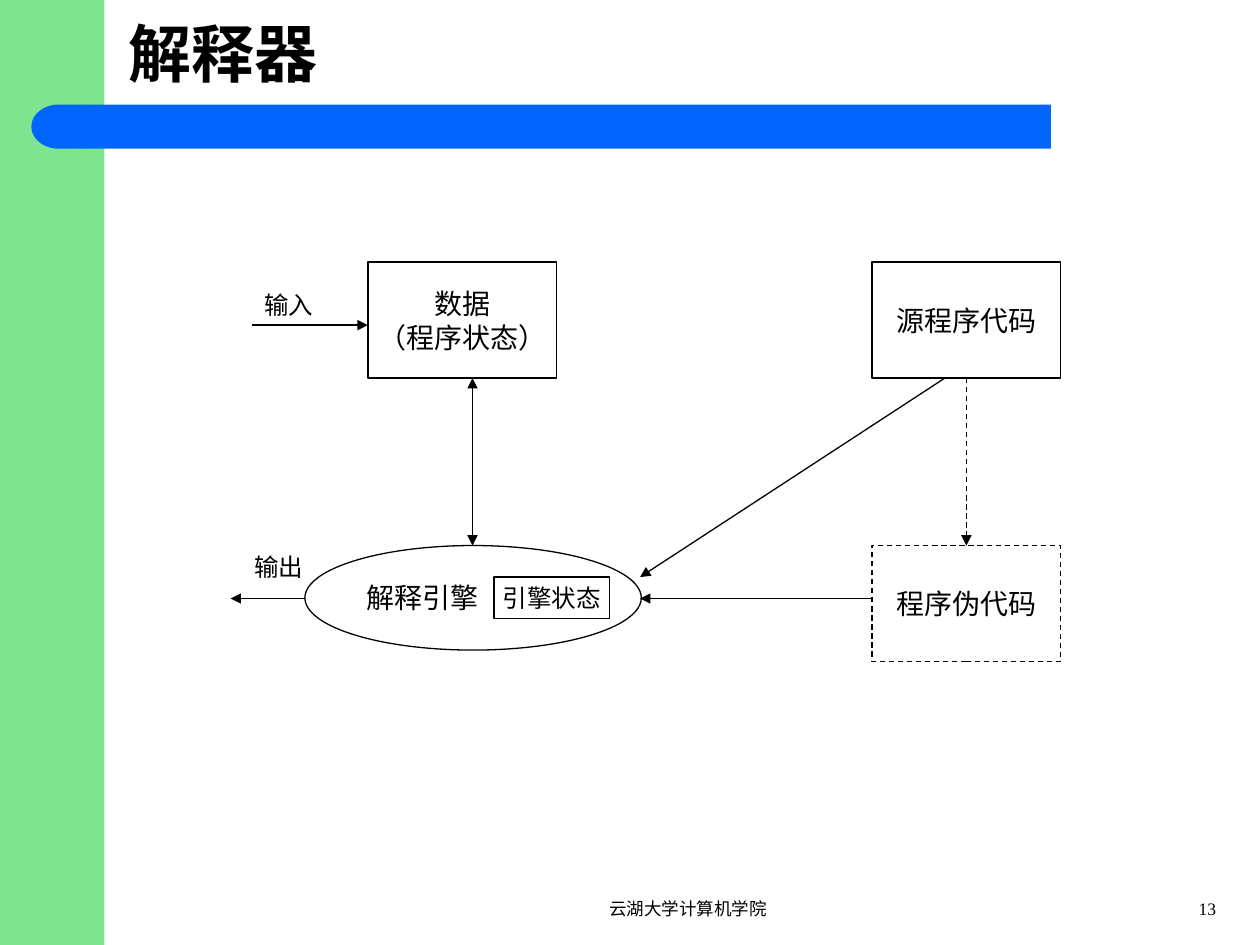
from pptx import Presentation
from pptx.dml.color import RGBColor
from pptx.enum.dml import MSO_LINE
from pptx.enum.shapes import MSO_CONNECTOR, MSO_SHAPE as SHAPE
from pptx.enum.text import MSO_ANCHOR as ANCHOR, PP_ALIGN as ALIGN
from pptx.oxml.ns import qn
from pptx.util import Inches, Pt
from lxml import etree

COLORS = {"band": "7EE48F", "bar": "0066FF", "ink": "000000"}
FONT = "Times New Roman"


def rgb(name):
    return RGBColor.from_string(COLORS[name])


def write(tf, lines, size, align=ALIGN.LEFT, anchor=ANCHOR.TOP, wrap=True, bold=False):
    tf.word_wrap = wrap
    tf.vertical_anchor = anchor
    for i, line in enumerate(lines):
        p = tf.paragraphs[0] if i == 0 else tf.add_paragraph()
        p.alignment = align
        r = p.add_run()
        r.text = line
        r.font.name = FONT
        r.font.size = Pt(size)
        r.font.bold = bold
        r.font.color.rgb = rgb("ink")


prs = Presentation()
prs.slide_width, prs.slide_height = Inches(10), Inches(7.5)
s = prs.slides.add_slide(prs.slide_layouts[5])

# Side band and title bar with its rounded end
for kind, color, box in [
    (SHAPE.RECTANGLE, "band", (0, 0, 0.83, 7.5)),
    (SHAPE.RECTANGLE, "bar", (0.67, 0.83, 7.67, 0.35)),
    (SHAPE.FLOWCHART_DELAY, "bar", (0.25, 0.83, 0.43, 0.35)),
]:
    sp = s.shapes.add_shape(kind, *map(Inches, box))
    sp.shadow.inherit = False
    sp.fill.solid()
    sp.fill.fore_color.rgb = rgb(color)
    sp.line.fill.background()
    if kind == SHAPE.FLOWCHART_DELAY:
        sp._element.spPr.find(qn("a:xfrm")).set("flipH", "1")

# Title
title = s.shapes.title
title.left, title.top, title.width, title.height = map(Inches, (0.92, 0, 8.67, 0.83))
write(title.text_frame, ["解释器"], 36, anchor=ANCHOR.MIDDLE, bold=True)

# Interpreter parts
nodes = {}
for name, kind, box, lines, size, dashed in [
    ("source", SHAPE.RECTANGLE, (6.92, 2.08, 1.5, 0.92), ["源程序代码"], 16, False),
    ("data", SHAPE.RECTANGLE, (2.92, 2.08, 1.5, 0.92), ["数据", "（程序状态）"], 16, False),
    ("engine", SHAPE.OVAL, (2.42, 4.33, 2.67, 0.83), ["解释引擎"], 16, False),
    ("state", SHAPE.RECTANGLE, (3.92, 4.58, 0.92, 0.33), ["引擎状态"], 14, False),
    ("pseudo", SHAPE.RECTANGLE, (6.92, 4.33, 1.5, 0.92), ["程序伪代码"], 16, True),
]:
    sp = nodes[name] = s.shapes.add_shape(kind, *map(Inches, box))
    sp.shadow.inherit = False
    sp.fill.background()
    sp.line.color.rgb = rgb("ink")
    sp.line.width = Pt(0.75)
    if dashed:
        sp.line.dash_style = MSO_LINE.DASH
    is_engine = name == "engine"
    write(sp.text_frame, lines, size, ALIGN.LEFT if is_engine else ALIGN.CENTER,
          ANCHOR.MIDDLE, wrap=is_engine)

# Arrows: start, end, arrowhead ends, dashed
for start, end, heads, dashed in [
    ((7.67, 3), (7.67, 4.33), ["tailEnd"], True),
    ((6.92, 4.75), (5.08, 4.75), ["tailEnd"], False),
    ((3.75, 3), (3.75, 4.33), ["headEnd", "tailEnd"], False),
    ((7.5, 3), (5.08, 4.58), ["tailEnd"], False),
    ((2, 2.58), (2.92, 2.58), ["tailEnd"], False),
    ((2.42, 4.75), (1.83, 4.75), ["tailEnd"], False),
]:
    cx = s.shapes.add_connector(MSO_CONNECTOR.STRAIGHT, *map(Inches, start + end))
    cx.line.color.rgb = rgb("ink")
    cx.line.width = Pt(0.75)
    if dashed:
        cx.line.dash_style = MSO_LINE.DASH
        cx.begin_connect(nodes["source"], 2)
        cx.end_connect(nodes["pseudo"], 0)
    ln = cx.line._get_or_add_ln()
    for head in heads:
        etree.SubElement(ln, qn(f"a:{head}"), type="triangle")
    etree.SubElement(cx._element.spPr, qn("a:effectLst"))

# Arrow labels, footer and page number
for text, box, size, align in [
    ("输入", (2, 2.25, 0.67, 0.34), 14, ALIGN.LEFT),
    ("输出", (1.92, 4.33, 0.67, 0.34), 14, ALIGN.LEFT),
    ("云湖大学计算机学院", (3.75, 7.08, 3.42, 0.25), 10, ALIGN.CENTER),
    ("13", (9, 7.08, 0.75, 0.25), 10, ALIGN.RIGHT),
]:
    tb = s.shapes.add_textbox(*map(Inches, box))
    write(tb.text_frame, [text], size, align)

prs.save("out.pptx")
